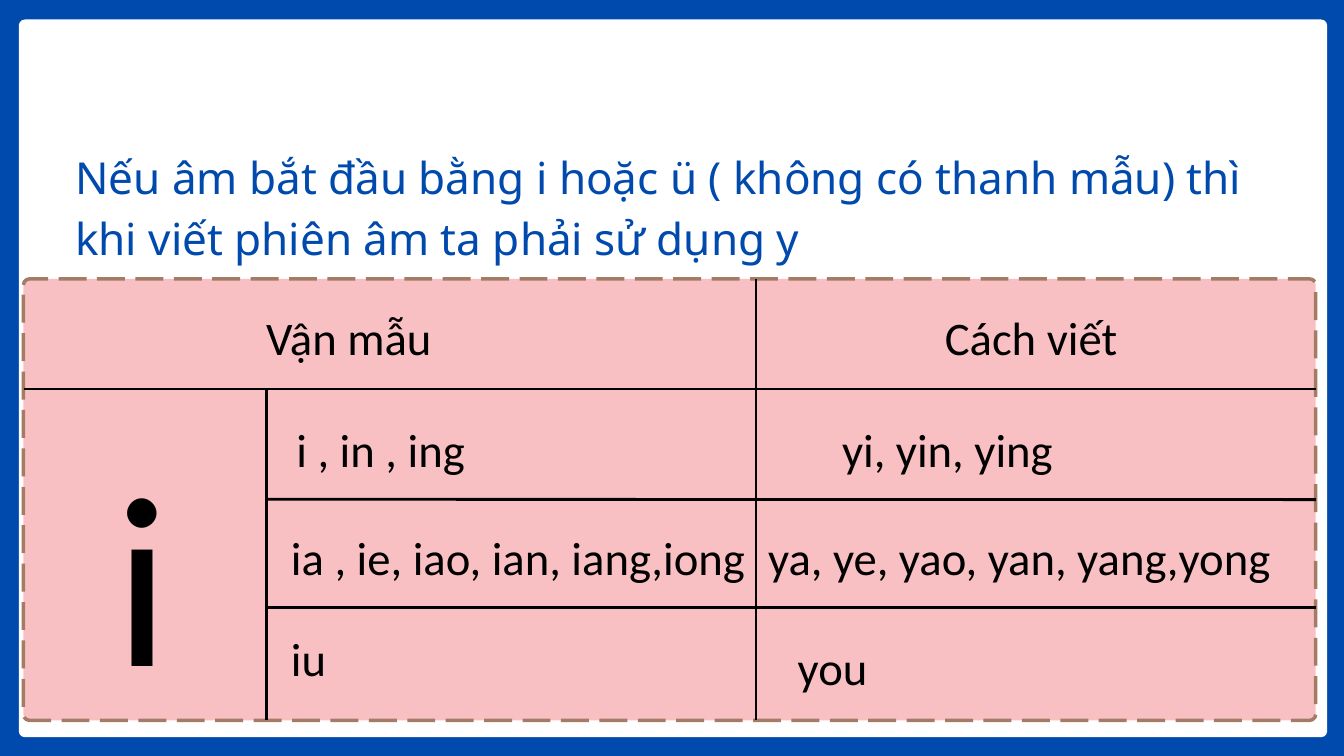
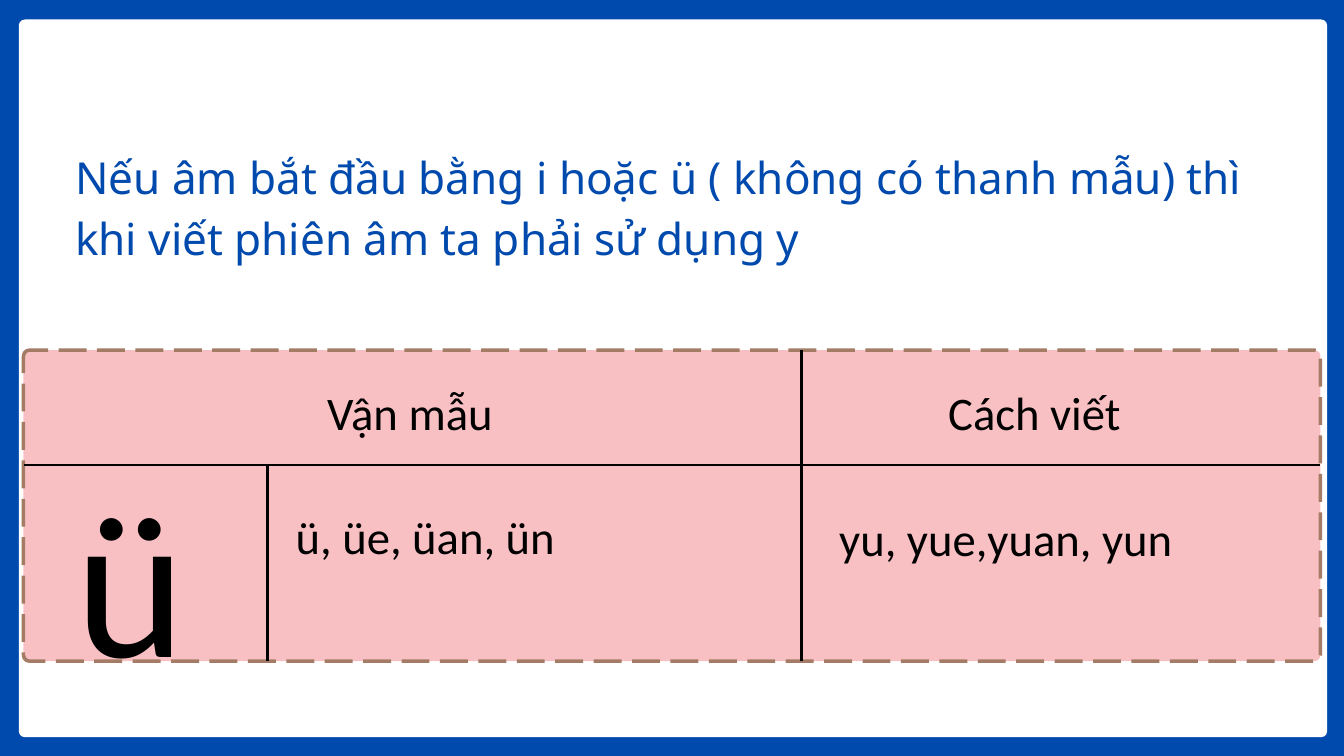
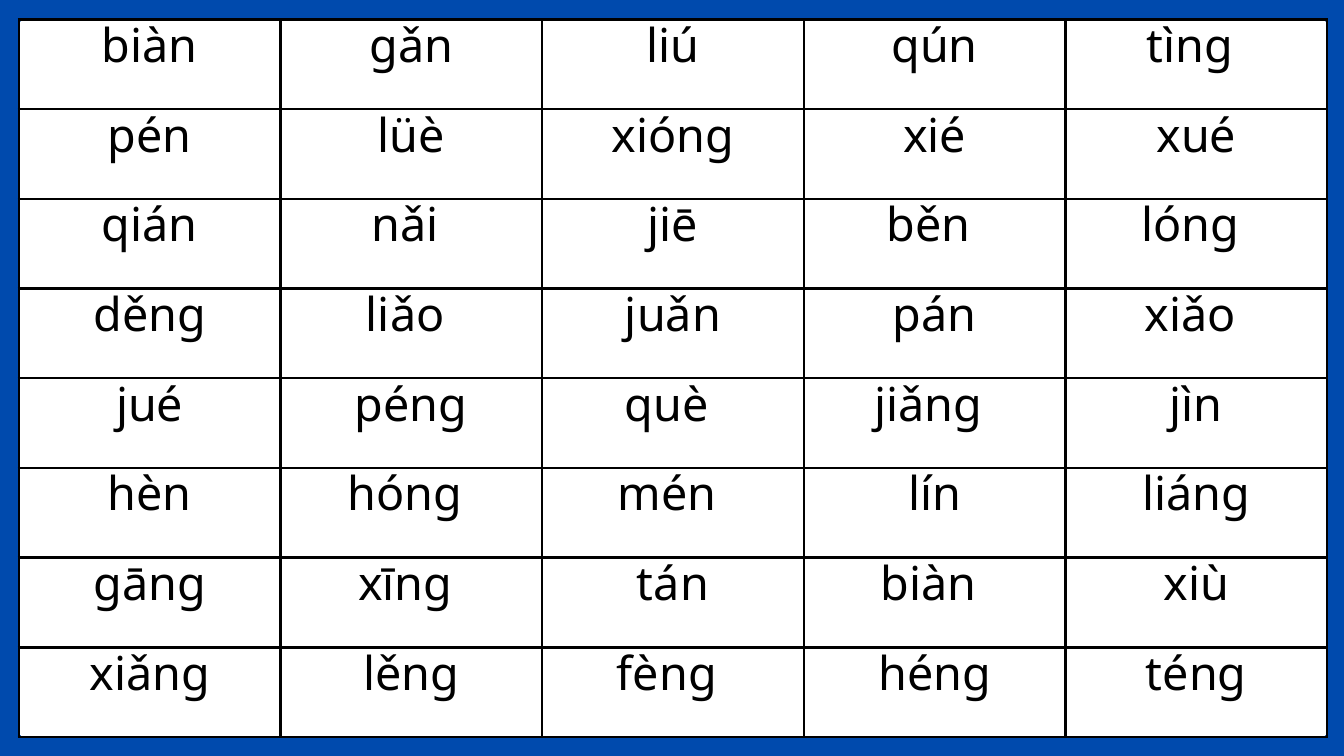
from lxml import etree
from pptx import Presentation
from pptx import util as u
from pptx.dml.color import RGBColor
from pptx.enum import dml, shapes, text
from pptx.oxml import ns

COLORS = {
    "blue": "004AAD",
    "white": "FFFFFF",
    "pink": "F9C0C4",
    "brown": "A47C65",
    "black": "000000",
}
LATIN = "Calibri"
ACCENTED = "Noto Sans"
LEFT, CENTER = text.PP_ALIGN.LEFT, text.PP_ALIGN.CENTER
FRAME = (0.28, 0.29, 19.47, 10.68)
RULE_WIDTH = 3
CORNER = 0.09
RULE = "Nếu âm bắt đầu bằng i hoặc ü ( không có thanh mẫu) thì khi viết phiên âm ta phải sử dụng y"

SYLLABLES = [
    ["biàn", "gǎn", "liú", "qún", "tìng "],
    ["pén", "lüè", "xióng", "xié", "xué"],
    ["qián", "nǎi ", "jiē", "běn ", "lóng "],
    ["děng", "liǎo ", "juǎn", "pán", "xiǎo "],
    ["jué", "péng", "què ", "jiǎng ", "jìn"],
    ["hèn", "hóng ", "mén ", "lín", "liáng"],
    ["gāng", "xīng ", "tán", "biàn ", "xiù"],
    ["xiǎng", "lěng", "fèng ", "héng", "téng"],
]


def color(name):
    return RGBColor.from_string(COLORS[name])


def inches(*values):
    return [u.Inches(value) for value in values]


class Deck:
    def __init__(self):
        self.presentation = Presentation()
        self.presentation.slide_width, self.presentation.slide_height = inches(20, 11.25)
        self.slide = None

    def add_slide(self, title=None):
        layout = self.presentation.slide_layouts[5 if title else 6]
        self.slide = self.presentation.slides.add_slide(layout)
        background = self.slide.background.fill
        background.solid()
        background.fore_color.rgb = color("blue")
        frame = self.add_card(*FRAME, "white")
        if title:
            shape = self.slide.shapes.title
            shape.left, shape.top, shape.width, shape.height = inches(1.12, 2.1, 17.75, 1.81)
            self.format_frame(shape.text_frame, title, 47.2, 66.1, ACCENTED, "blue")
            shape.element.addprevious(frame.element)

    def add_card(self, left, top, width, height, fill, border=None):
        card = self.slide.shapes.add_shape(
            shapes.MSO_SHAPE.ROUNDED_RECTANGLE, *inches(left, top, width, height))
        card.adjustments[0] = CORNER / min(width, height)
        card.shadow.inherit = False
        card.fill.solid()
        card.fill.fore_color.rgb = color(fill)
        if border:
            card.line.color.rgb = color(border)
            card.line.width = u.Pt(3.75)
            card.line.dash_style = dml.MSO_LINE.LONG_DASH
        else:
            card.line.fill.background()
        return card

    def add_line(self, x1, y1, x2, y2):
        line = self.slide.shapes.add_connector(
            shapes.MSO_CONNECTOR.STRAIGHT, *inches(x1, y1, x2, y2))
        line.line.color.rgb = color("black")
        line.line.width = u.Pt(RULE_WIDTH)
        etree.SubElement(line.element.spPr, ns.qn("a:effectLst"))
        return line

    def add_text(self, words, left, top, width, height=0.9, size=50, align=LEFT):
        box = self.slide.shapes.add_textbox(*inches(left, top, width, height))
        self.format_frame(box.text_frame, words, size, size * 1.4, LATIN, "black", align)

    def format_frame(self, frame, words, size, spacing, font, ink, align=LEFT):
        frame.word_wrap = True
        frame.auto_size = text.MSO_AUTO_SIZE.NONE
        frame.vertical_anchor = text.MSO_ANCHOR.TOP
        frame.margin_left = frame.margin_top = frame.margin_right = frame.margin_bottom = 0
        self.format_paragraph(frame.paragraphs[0], words, size, spacing, font, ink, align)

    def format_paragraph(self, paragraph, words, size, spacing, font, ink, align):
        paragraph.text = words
        paragraph.alignment = align
        paragraph.line_spacing = u.Pt(spacing)
        paragraph.font.size = u.Pt(size)
        paragraph.font.name = font
        paragraph.font.color.rgb = color(ink)

    def add_grid(self, rows):
        table = self.slide.shapes.add_table(len(rows), len(rows[0]), *inches(*FRAME)).table
        table.first_row = table.horz_banding = False
        for row_index, row in enumerate(rows):
            for column_index, words in enumerate(row):
                cell = table.cell(row_index, column_index)
                cell.margin_left = cell.margin_top = cell.margin_right = cell.margin_bottom = 0
                cell.vertical_anchor = text.MSO_ANCHOR.MIDDLE
                self.add_borders(cell)
                cell.fill.background()
                self.format_paragraph(cell.text_frame.paragraphs[0], words, 50, 25,
                                      ACCENTED, "black", CENTER)

    def add_borders(self, cell):
        properties = cell._tc.get_or_add_tcPr()
        for side in ("a:lnL", "a:lnR", "a:lnT", "a:lnB"):
            border = etree.SubElement(properties, ns.qn(side), w=str(u.Pt(RULE_WIDTH)))
            fill = etree.SubElement(border, ns.qn("a:solidFill"))
            etree.SubElement(fill, ns.qn("a:srgbClr"), val=COLORS["black"])


def add_i_slide(deck):
    left, top, right, bottom = 0.35, 4.15, 19.58, 10.72
    header, finals, spelling = 5.79, 3.96, 11.25
    deck.add_slide(RULE)
    card = deck.add_card(left, top, right - left, bottom - top, "pink", "brown")
    deck.add_line(left, header, right, header)
    deck.add_line(finals, 7.43, right, 7.43).end_connect(card, 3)
    deck.add_line(finals, 9.04, right, 9.04)
    deck.add_line(finals, header, finals, bottom)
    deck.add_line(spelling, top, spelling, bottom)
    deck.add_text("i", 1.71, 5.57, 0.77, 4.66, 261.2, CENTER)
    for words, x, y, width in [
        ("Vận mẫu", 3.96, 4.46, 3.06),
        ("Cách viết", 14.06, 4.46, 3.06),
        ("i , in , ing", 4.41, 6.12, 3.06),
        ("ia , ie, iao, ian, iang,iong", 4.33, 7.73, 7.2),
        ("iu", 4.33, 9.24, 7.2),
        ("yi, yin, ying", 12.53, 6.12, 6.31),
        ("ya, ye, yao, yan, yang,yong", 11.43, 7.73, 8.32),
        ("you", 11.87, 9.37, 6.31),
    ]:
        deck.add_text(words, x, y, width)


def add_u_slide(deck):
    left, top, right, bottom = 0.35, 5.21, 19.65, 9.84
    header, finals, spelling = 6.92, 3.98, 11.93
    deck.add_slide(RULE)
    deck.add_card(left, top, right - left, bottom - top, "pink", "brown")
    deck.add_line(left, header, right, header)
    deck.add_line(finals, header, finals, bottom)
    deck.add_line(spelling, top, spelling, bottom)
    deck.add_text("Vận mẫu", 4.87, 5.57, 3.07)
    deck.add_text("Cách viết", 14.11, 5.57, 3.07)
    deck.add_text("ü", 1.12, 6.04, 1.64, 4.22, 225, CENTER)
    deck.add_text("ü, üe, üan, ün", 4.4, 7.42, 4.04)
    deck.add_text("yu, yue,yuan, yun", 12.35, 7.45, 5.24, align=CENTER)


def main():
    deck = Deck()
    add_i_slide(deck)
    add_u_slide(deck)
    deck.add_slide()
    deck.add_grid(SYLLABLES)
    deck.presentation.save("out.pptx")


if __name__ == "__main__":
    main()
